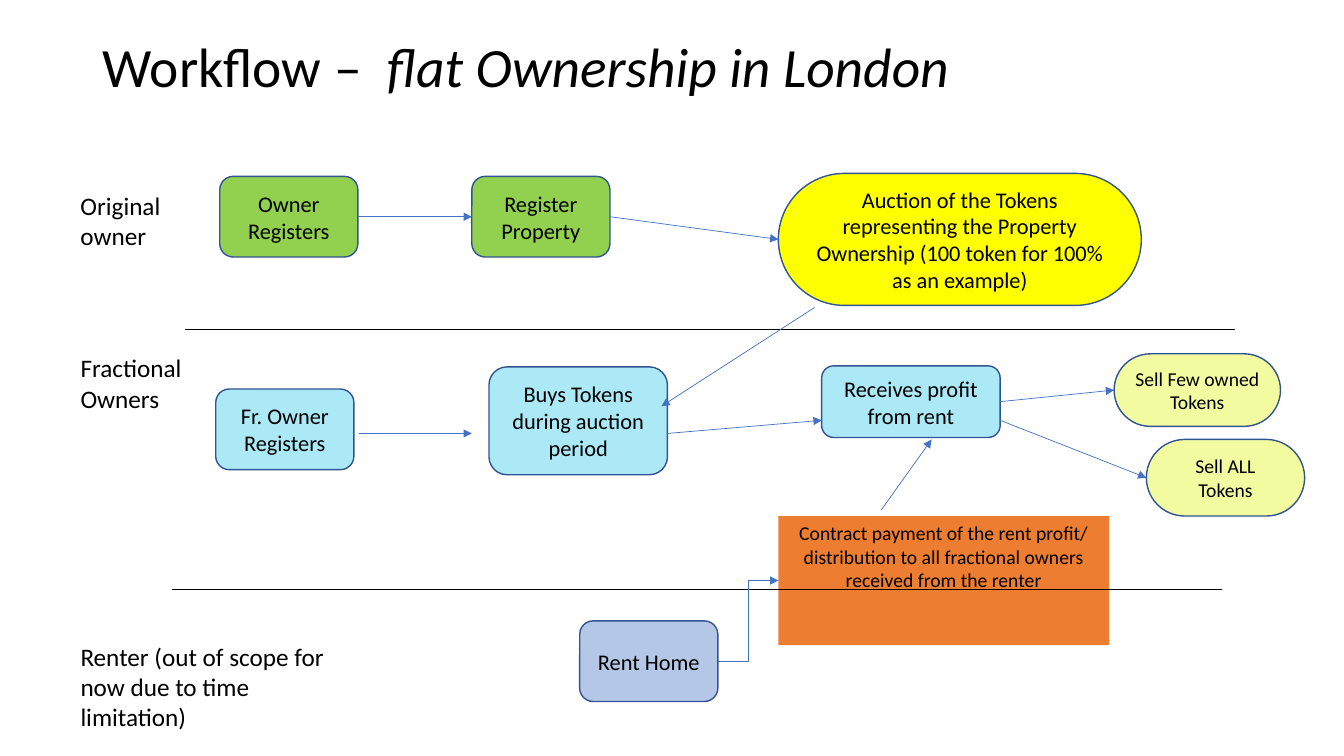
from lxml.etree import SubElement
from pptx import Presentation
from pptx.dml.color import RGBColor
from pptx.enum.shapes import MSO_CONNECTOR, MSO_SHAPE
from pptx.enum.text import MSO_ANCHOR, MSO_AUTO_SIZE, PP_ALIGN
from pptx.oxml.ns import qn
from pptx.util import Pt

PX = 9144  # EMU per px, 100 px to the inch
BLACK = RGBColor(0x00, 0x00, 0x00)
OUTLINE = RGBColor(0x32, 0x54, 0x91)
ARROW = RGBColor(0x44, 0x72, 0xC4)
GREEN = RGBColor(0x92, 0xD0, 0x50)
YELLOW = RGBColor(0xFF, 0xFF, 0x00)
CYAN = RGBColor(0xAB, 0xE9, 0xF7)
LIME = RGBColor(0xF2, 0xFB, 0x9F)
PERIWINKLE = RGBColor(0xB4, 0xC7, 0xE7)
ORANGE = RGBColor(0xED, 0x7D, 0x31)
LEFT, RIGHT = 1, 3  # connection sites


def write(shape, *texts, size=16, align=PP_ALIGN.CENTER, anchor=MSO_ANCHOR.MIDDLE):
    """Fill the first paragraph with one run per text and return the paragraph."""
    frame = shape.text_frame
    frame.word_wrap = True
    frame.auto_size = MSO_AUTO_SIZE.NONE
    frame.vertical_anchor = anchor
    paragraph = frame.paragraphs[0]
    paragraph.alignment = align
    for text in texts:
        run = paragraph.add_run()
        run.text = text
        run.font.name = "Calibri"
        run.font.size = Pt(size)
        run.font.color.rgb = BLACK
    return paragraph


def draw_line(start, end, color=ARROW, kind=MSO_CONNECTOR.STRAIGHT, arrow=True):
    points = [value * PX for value in (*start, *end)]
    connector = slide.shapes.add_connector(kind, *points)
    connector.line.color.rgb = color
    connector.line.width = Pt(0.5)
    if arrow:
        SubElement(connector.line._get_or_add_ln(), qn("a:tailEnd"), type="triangle")
    SubElement(connector._element.spPr, qn("a:effectLst"))
    return connector


presentation = Presentation()
presentation.slide_width = 1333 * PX
presentation.slide_height = 750 * PX
slide = presentation.slides.add_slide(presentation.slide_layouts[5])

# Title
title = slide.shapes.title
title.left, title.top, title.width, title.height = [value * PX for value in (92, 40, 1150, 57)]
heading = write(title, "Workflow – ", " flat Ownership in London", size=39.6, align=PP_ALIGN.LEFT)
heading.line_spacing = 0.9
heading.runs[1].font.italic = True

# Lane labels
for text, top, width, height in [
    ("Original owner", 184, 114, 71),
    ("Fractional Owners", 345, 148, 71),
    ("Renter (out of scope for now due to time limitation)", 631, 285, 131),
]:
    label = slide.shapes.add_textbox(70 * PX, top * PX, width * PX, height * PX)
    write(label, text, size=18, align=PP_ALIGN.LEFT, anchor=MSO_ANCHOR.TOP)

# Workflow steps: text, box, fill, text size, rounded ends
steps = {}
for name, text, box, fill, size, pill in [
    ("owner", "Owner Registers", (218, 175, 137, 80), GREEN, 16, False),
    ("property", "Register Property", (468, 175, 137, 80), GREEN, 16, False),
    ("auction", "Auction of the Tokens representing the Property Ownership "
     "(100 token for 100% as an example)", (772, 172, 360, 131), YELLOW, 16, True),
    ("fractional", "Fr. Owner Registers", (214, 386, 137, 80), CYAN, 16, False),
    ("buy", "Buys Tokens during auction period", (485, 364, 177, 107), CYAN, 16, False),
    ("profit", "Receives profit from rent", (815, 363, 177, 71), CYAN, 16, False),
    ("sell few", "Sell Few owned Tokens", (1105, 351, 165, 72), LIME, 14, True),
    ("sell all", "Sell ALL Tokens", (1137, 436, 157, 76), LIME, 14, True),
    ("rent", "Rent Home", (575, 616, 137, 80), PERIWINKLE, 16, False),
    ("contract", "Contract payment of the rent profit/ distribution to all "
     "fractional owners received from the renter", (772, 512, 328, 128), ORANGE, 14, False),
]:
    is_contract = name == "contract"
    kind = MSO_SHAPE.RECTANGLE if is_contract else MSO_SHAPE.ROUNDED_RECTANGLE
    step = slide.shapes.add_shape(kind, *[value * PX for value in box])
    step.shadow.inherit = False
    step.fill.solid()
    step.fill.fore_color.rgb = fill
    if is_contract:
        step.line.fill.background()
    else:
        step.line.color.rgb = OUTLINE
        step.line.width = Pt(1)
    if pill:
        step.adjustments[0] = 0.5
    write(step, text, size=size, anchor=MSO_ANCHOR.TOP if is_contract else MSO_ANCHOR.MIDDLE)
    steps[name] = step

# Lane dividers
for left, top in [(184, 327), (171, 585)]:
    draw_line((left, top), (left + 1041, top), color=BLACK, arrow=False)

# Arrows, joined where they meet the middle of a side
for start, end, source, target in [
    ((355, 215), (468, 215), "owner", "property"),
    ((605, 215), (772, 238), "property", "auction"),
    ((808, 305), (656, 403), None, None),
    ((356, 430), (468, 430), None, None),
    ((662, 430), (815, 417), None, None),
    ((874, 506), (924, 436), None, None),
    ((992, 398), (1105, 387), "profit", "sell few"),
    ((992, 417), (1137, 474), None, "sell all"),
    ((712, 656), (772, 576), "rent", "contract"),
]:
    kind = MSO_CONNECTOR.ELBOW if source == "rent" else MSO_CONNECTOR.STRAIGHT
    connector = draw_line(start, end, kind=kind)
    if source:
        connector.begin_connect(steps[source], RIGHT)
    if target:
        connector.end_connect(steps[target], LEFT)

presentation.save("out.pptx")
